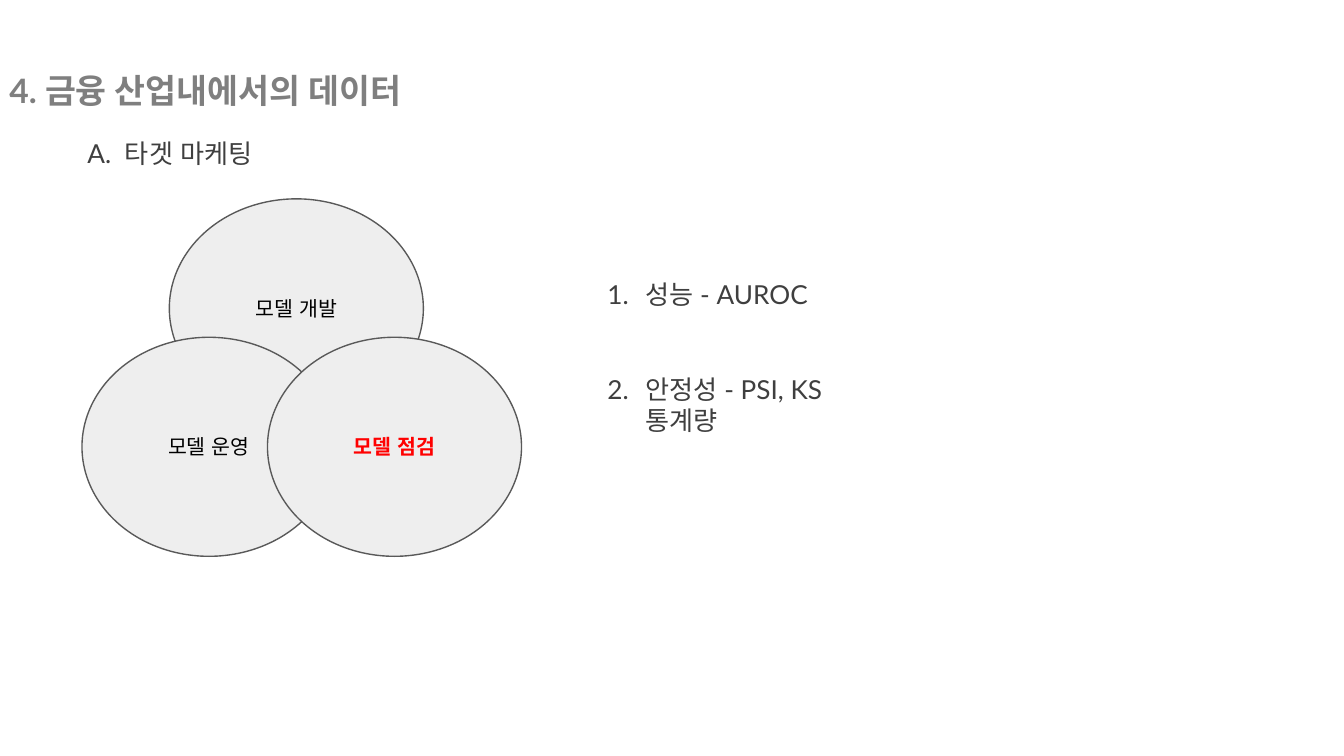
from dataclasses import dataclass

from lxml import etree
from pptx import Presentation
from pptx import util as u
from pptx.dml.color import RGBColor
from pptx.enum import shapes, text
from pptx.oxml.ns import qn


@dataclass(frozen=True)
class Theme:
    heading: str = "7F7F7F"
    body: str = "3F3F3F"
    label: str = "000000"
    accent: str = "FF0000"
    fill: str = "EEEEEE"
    line: str = "595959"
    body_font: str = "Lato"
    label_font: str = "Arial"
    heading_size: int = 18
    body_size: int = 14
    label_size: int = 11
    inset: float = 0.07


class Deck:
    def __init__(self, theme):
        self.t = theme
        self.prs = Presentation()
        self.prs.slide_width = u.Inches(10)
        self.prs.slide_height = u.Inches(10 * 9 / 16)
        self.s = self.prs.slides.add_slide(self.prs.slide_layouts[6])

    def style(self, p, font, size, color, bold=False):
        for r in p.runs:
            r.font.name = font
            r.font.size = u.Pt(size)
            r.font.bold = bold
            r.font.color.rgb = RGBColor.from_string(color)
            for script in ("a:ea", "a:cs"):
                etree.SubElement(r._r.get_or_add_rPr(), qn(script), typeface=font)

    def frame(self, tf, top=None, right=None):
        tf.word_wrap = True
        tf.margin_left = u.Inches(self.t.inset)
        tf.margin_right = u.Inches(right or self.t.inset)
        tf.margin_top = tf.margin_bottom = u.Inches(top or self.t.inset)
        return tf

    def box(self, x, y, w, h, **margins):
        sp = self.s.shapes.add_textbox(*map(u.Inches, (x, y, w, h)))
        return self.frame(sp.text_frame, **margins)

    def heading(self, x, y, w, h, words):
        p = self.box(x, y, w, h, top=0.04).paragraphs[0]
        p.text = words
        p.line_spacing = 1.5
        self.style(p, self.t.body_font, self.t.heading_size, self.t.heading, True)

    def numbered(self, x, y, w, h, items, scheme, gap=0, **margins):
        tf = self.box(x, y, w, h, **margins)
        for i, words in enumerate(items):
            p = tf.add_paragraph() if i else tf.paragraphs[0]
            p.text = words
            if i:
                p.space_before = u.Pt(gap)
            pPr = p._p.get_or_add_pPr()
            pPr.set("marL", str(u.Inches(0.38)))
            pPr.set("indent", str(u.Inches(-0.28)))
            clr = etree.SubElement(pPr, qn("a:buClr"))
            etree.SubElement(clr, qn("a:srgbClr"), val=self.t.body)
            etree.SubElement(pPr, qn("a:buFont"), typeface=self.t.body_font)
            etree.SubElement(pPr, qn("a:buAutoNum"), type=scheme)
            self.style(p, self.t.body_font, self.t.body_size, self.t.body)

    def circles(self, w, h, items):
        group = self.s.shapes.add_group_shape()
        for x, y, words, strong in items:
            sp = group.shapes.add_shape(
                shapes.MSO_SHAPE.OVAL, *map(u.Inches, (x, y, w, h)))
            sp.shadow.inherit = False
            sp.fill.solid()
            sp.fill.fore_color.rgb = RGBColor.from_string(self.t.fill)
            sp.line.color.rgb = RGBColor.from_string(self.t.line)
            sp.line.width = u.Pt(0.75)
            tf = self.frame(sp.text_frame)
            tf.vertical_anchor = text.MSO_ANCHOR.MIDDLE
            tf.text = words
            p = tf.paragraphs[0]
            p.alignment = text.PP_ALIGN.CENTER
            color = self.t.accent if strong else self.t.label
            self.style(p, self.t.label_font, self.t.label_size, color, strong)


def main():
    deck = Deck(Theme())
    deck.heading(0, 0.33, 4.49, 0.47, "4. 금융 산업내에서의 데이터")
    deck.numbered(0.48, 0.95, 2.95, 1.06, ["타겟 마케팅"], "alphaUcPeriod")
    deck.circles(1.89, 1.63, [
        (1.26, 1.48, "모델 개발", False),
        (0.61, 2.51, "모델 운영", False),
        (1.99, 2.51, "모델 점검", True),
    ])
    deck.numbered(4.35, 2, 2.53, 1.1,
                  ["성능 - AUROC", "안정성 - PSI, KS 통계량"],
                  "arabicPeriod", gap=34, right=0.3)
    deck.prs.save("out.pptx")


if __name__ == "__main__":
    main()
